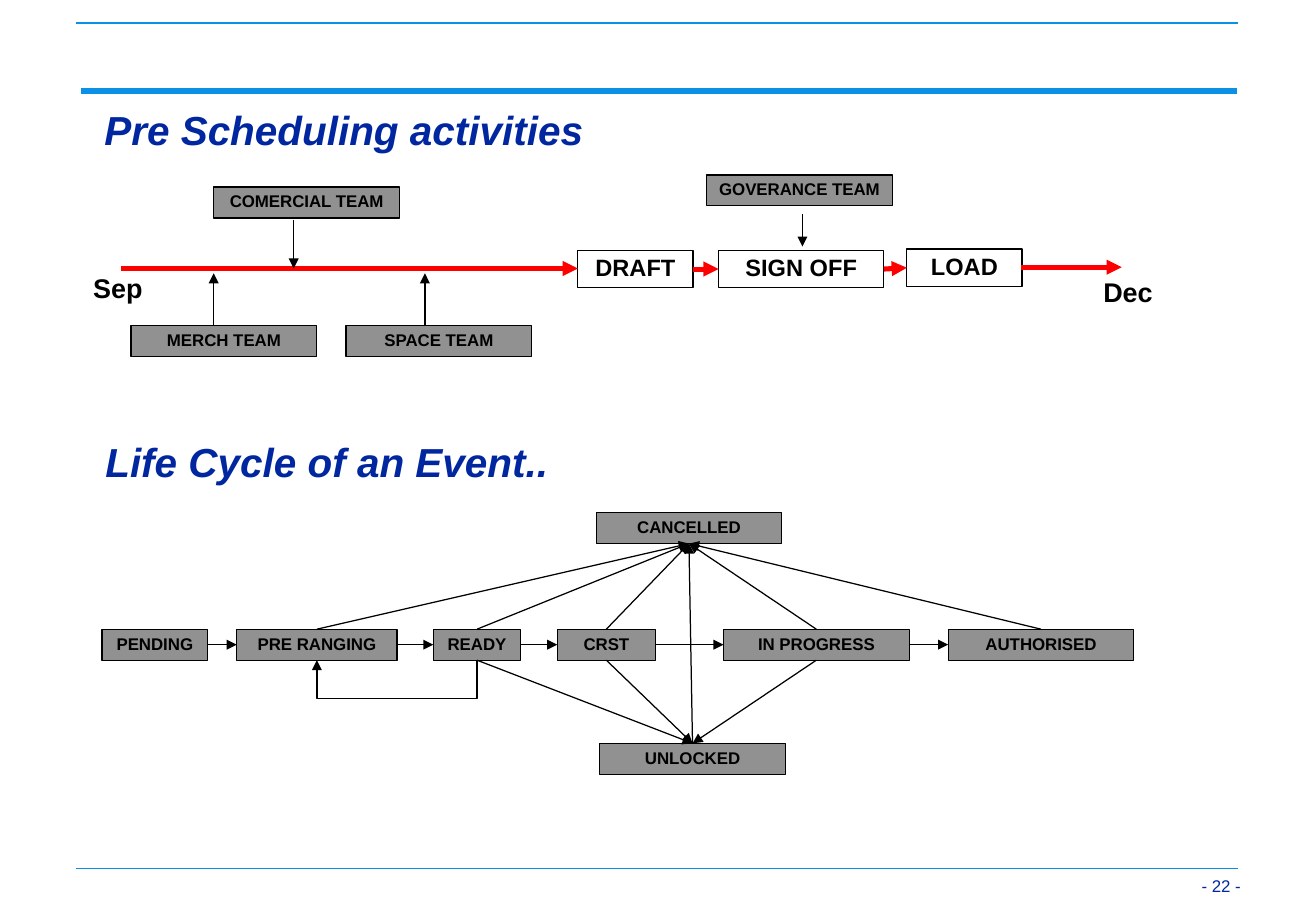
from lxml import etree
from pptx import Presentation, util as u
from pptx.dml.color import RGBColor
from pptx.enum import shapes, text
from pptx.oxml.ns import qn

WIDTH, HEIGHT = u.Inches(10.84), u.Inches(7.5)
BLACK, NAVY, BLUE, RED, GREY = "000000", "00279F", "0A91E6", "FF0000", "919191"
TOP, LEFT, BOTTOM, RIGHT = range(4)  # connection sites of a rectangle
TEAM_WIDTH, BOX_HEIGHT = 14.11, 3.4
STEP_HEIGHT = 4.13
STATE_TOP = 69.07

# Sizes and places are percentages of the slide's width and height.
TEAMS = [("COMERCIAL TEAM", 16.24, 20.53), ("MERCH TEAM", 9.96, 35.73),
         ("SPACE TEAM", 26.29, 35.73), ("GOVERANCE TEAM", 53.69, 19.2)]
TEAM_ARROWS = [(22.32, 24.13, 29.47), (16.24, 35.73, 30),
               (32.29, 35.73, 30), (60.98, 23.47, 27.07)]
STEPS = [("DRAFT", 43.91, 27.47, 8.76), ("SIGN OFF", 54.61, 27.47, 12.55),
         ("LOAD", 68.91, 27.33, 8.76)]
MONTHS = [("Sep", 6.18, 29.6), ("Dec", 82.93, 30)]
STATES = [("PENDING", 7.75, 8.03), ("PRE RANGING", 17.99, 12.18),
          ("READY", 32.93, 6.64), ("CRST", 42.34, 7.47),
          ("IN PROGRESS", 54.98, TEAM_WIDTH), ("AUTHORISED", 72.05, TEAM_WIDTH)]
RULES = [(6.18, 94, 10, 4), (5.81, 94.1, 2.53, 1), (5.81, 94.1, 95.33, 1)]


def color(value):
    return RGBColor.from_string(value)


def across(share):
    return round(WIDTH * share / 100)


def down(share):
    return round(HEIGHT * share / 100)


def area(left, top, width, height):
    return across(left), down(top), across(width), down(height)


def write(shape, words, size, ink=BLACK, bold=True, italic=False,
          align=text.PP_ALIGN.LEFT, anchor=text.MSO_ANCHOR.TOP, inset=(0.1, 0.05)):
    frame = shape.text_frame
    frame.word_wrap = True
    frame.auto_size = text.MSO_AUTO_SIZE.NONE
    frame.vertical_anchor = anchor
    frame.margin_left = frame.margin_right = u.Inches(inset[0])
    frame.margin_top = frame.margin_bottom = u.Inches(inset[1])
    paragraph = frame.paragraphs[0]
    paragraph.alignment = align
    paragraph.line_spacing = 0.9
    paragraph.space_before = u.Pt(0)
    run = paragraph.add_run()
    run.text = words
    font = run.font
    font.name, font.size, font.bold, font.italic = "Arial", u.Pt(size), bold, italic
    font.color.rgb = color(ink)


def add_label(slide, words, place, size, **style):
    write(slide.shapes.add_textbox(*area(*place)), words, size, **style)


def add_box(slide, words, place, size=10, fill=GREY):
    shape = slide.shapes.add_shape(shapes.MSO_SHAPE.RECTANGLE, *area(*place))
    shape.shadow.inherit = False
    if fill:
        shape.fill.solid()
        shape.fill.fore_color.rgb = color(fill)
    else:
        shape.fill.background()
    shape.line.color.rgb = color(BLACK)
    shape.line.width = u.Pt(0.75)
    write(shape, words, size, align=text.PP_ALIGN.CENTER, anchor=text.MSO_ANCHOR.MIDDLE)
    return shape


def style_line(shape, ink, width, arrow):
    shape.line.color.rgb = color(ink)
    shape.line.width = u.Pt(width)
    if arrow:
        line = shape.line._get_or_add_ln()
        etree.SubElement(line, qn("a:tailEnd"), type="triangle")


def add_line(slide, start, end, ink=BLACK, width=0.75, arrow=True):
    line = slide.shapes.add_connector(
        shapes.MSO_CONNECTOR.STRAIGHT,
        across(start[0]), down(start[1]), across(end[0]), down(end[1]))
    style_line(line, ink, width, arrow)
    etree.SubElement(line._element.spPr, qn("a:effectLst"))
    return line


def link(slide, source, source_site, target, target_site, **style):
    line = add_line(slide, (0, 0), (0, 0), **style)
    line.begin_connect(source, source_site)
    line.end_connect(target, target_site)


def add_loop(slide, source, target, depth):
    """Arrow from under one box, down to a depth, and up to another box."""
    start, end = (box.left + box.width // 2 for box in (source, target))
    bottom = source.top + source.height
    builder = slide.shapes.build_freeform(start, bottom)
    builder.add_line_segments(
        [(start, down(depth)), (end, down(depth)), (end, bottom)], close=False)
    loop = builder.convert_to_shape()
    loop.shadow.inherit = False
    loop.fill.background()
    style_line(loop, BLACK, 0.75, True)


def add_page_frame(slide):
    for left, right, top, width in RULES:
        add_line(slide, (left, top), (right, top), BLUE, width, arrow=False)
    add_label(slide, "- 22 -", (89.39, 93.6, 5.54, 5.2), 10, ink=NAVY, bold=False,
              align=text.PP_ALIGN.RIGHT, anchor=text.MSO_ANCHOR.BOTTOM,
              inset=(0.07, 0.03))


def add_headings(slide):
    title = slide.shapes.title
    title.left, title.top, title.width, title.height = area(7.01, 11.47, 72.32, 6.13)
    write(title, "Pre Scheduling activities", 24, ink=NAVY, italic=True)
    add_label(slide, "Life Cycle of an Event..", (7.1, 47.87, 72.32, 6.13), 24,
              ink=NAVY, italic=True)


def add_schedule(slide):
    # Timeline and its steps
    red = {"ink": RED, "width": 3}
    steps = [add_box(slide, words, (left, top, width, STEP_HEIGHT), 14, None)
             for words, left, top, width in STEPS]
    add_line(slide, (9.23, 29.47), (43.91, 29.47), **red)
    for step, following in zip(steps, steps[1:]):
        link(slide, step, RIGHT, following, LEFT, **red)
    add_line(slide, (77.6, 29.33), (85.24, 29.33), **red)
    for month, left, top in MONTHS:
        add_label(slide, month, (left, top, 7.2, 4.53), 16)

    # Teams that act on it
    for words, left, top in TEAMS:
        add_box(slide, words, (left, top, TEAM_WIDTH, BOX_HEIGHT))
    for x, start, end in TEAM_ARROWS:
        add_line(slide, (x, start), (x, end))


def add_life_cycle(slide):
    # Main row of states
    row = [add_box(slide, words, (left, STATE_TOP, width, BOX_HEIGHT))
           for words, left, width in STATES]
    for state, following in zip(row, row[1:]):
        link(slide, state, RIGHT, following, LEFT)

    # States above and below the row
    cancelled = add_box(slide, "CANCELLED", (45.3, 56.27, TEAM_WIDTH, BOX_HEIGHT))
    unlocked = add_box(slide, "UNLOCKED", (45.57, 81.6, TEAM_WIDTH, BOX_HEIGHT))
    for state in row[1:] + [unlocked]:
        link(slide, state, TOP, cancelled, BOTTOM)
    for state in row[2:5]:
        link(slide, state, BOTTOM, unlocked, TOP)
    add_loop(slide, row[2], row[1], 76.67)


def main():
    presentation = Presentation()
    presentation.slide_width, presentation.slide_height = WIDTH, HEIGHT
    slide = presentation.slides.add_slide(presentation.slide_layouts[5])
    add_page_frame(slide)
    add_headings(slide)
    add_schedule(slide)
    add_life_cycle(slide)
    presentation.save("out.pptx")


if __name__ == "__main__":
    main()
